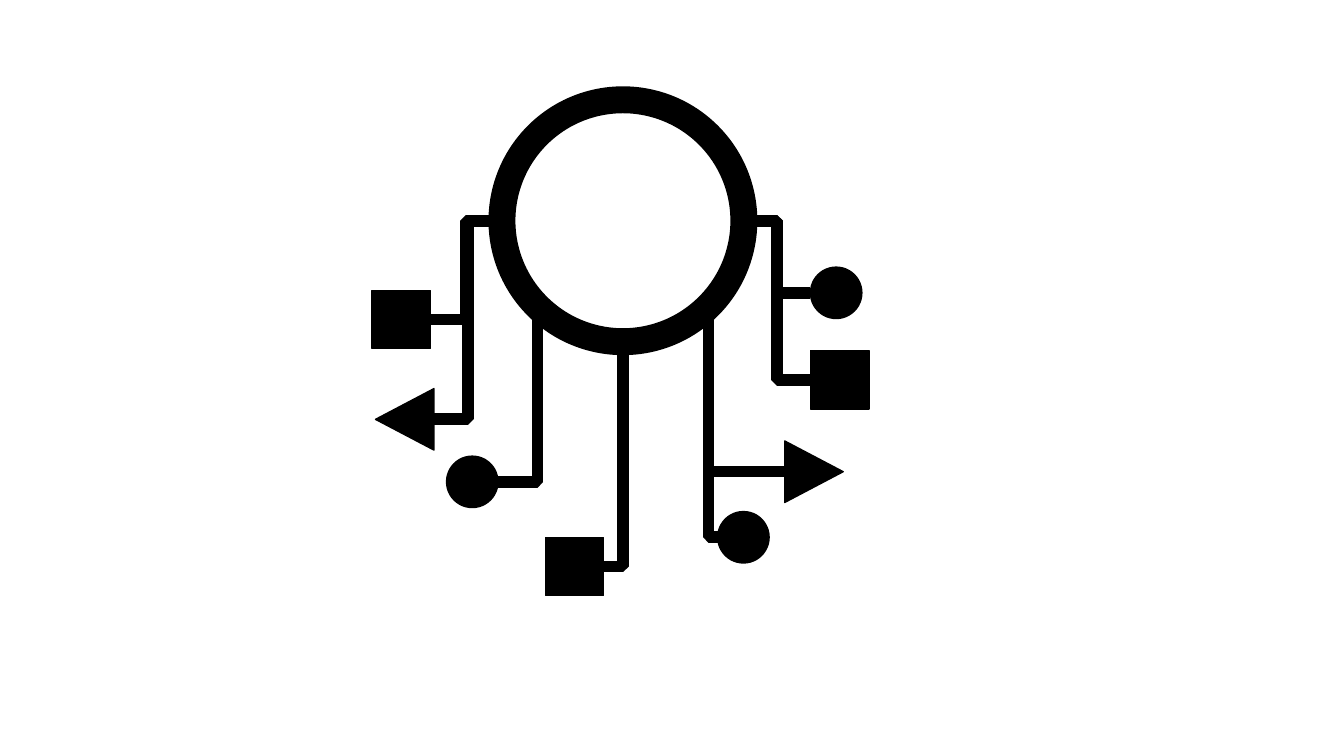
"""Builds a slide with a ring whose branches end in circles, squares and arrowheads."""
from dataclasses import dataclass
from enum import Enum
from math import cos, radians, sin

from lxml.etree import SubElement
from pptx import Presentation
from pptx.dml.color import RGBColor
from pptx.enum.shapes import MSO_CONNECTOR as Connector, MSO_SHAPE as Preset
from pptx.oxml.ns import qn
from pptx.shapes.autoshape import Shape
from pptx.util import Inches, Length, Pt

CELL = 0.1
COLUMNS, ROWS = 133.33, 75
BLACK, WHITE = "000000", "FFFFFF"
RING_X, RING_Y, RING_RADIUS = 61.8, 21.9, 12
RING_LINE, BRANCH_LINE, NODE_LINE = 19.25, 8.25, 1


class Kind(Enum):
    CIRCLE = (Preset.OVAL, 5.1, 5.1)
    SQUARE = (Preset.RECTANGLE, 5.8, 5.8)
    ARROWHEAD = (Preset.ISOSCELES_TRIANGLE, 6.1, 5.8)


class Port(Enum):
    RIGHT = 0
    LOWER_RIGHT = 45
    BOTTOM = 90
    LOWER_LEFT = 135
    LEFT = 180


class Side(Enum):
    LEFT = -1
    RIGHT = 1


@dataclass(frozen=True)
class Branch:
    port: Port
    kind: Kind
    side: Side
    inner_edge: float
    middle: float


BRANCHES = [
    Branch(Port.LOWER_RIGHT, Kind.CIRCLE, Side.RIGHT, 71.2, 53.3),
    Branch(Port.LOWER_RIGHT, Kind.ARROWHEAD, Side.RIGHT, 77.85, 46.8),
    Branch(Port.RIGHT, Kind.SQUARE, Side.RIGHT, 80.4, 37.7),
    Branch(Port.RIGHT, Kind.CIRCLE, Side.RIGHT, 80.4, 29.05),
    Branch(Port.LOWER_LEFT, Kind.CIRCLE, Side.LEFT, 49.4, 47.8),
    Branch(Port.LEFT, Kind.ARROWHEAD, Side.LEFT, 43.05, 41.6),
    Branch(Port.LEFT, Kind.SQUARE, Side.LEFT, 42.7, 31.7),
    Branch(Port.BOTTOM, Kind.SQUARE, Side.LEFT, 59.9, 56.2),
]


def cells(count: float) -> Length:
    return Inches(count * CELL)


def color(value: str) -> RGBColor:
    return RGBColor.from_string(value)


def add_centered(slide, preset: Preset, x: float, y: float, width: float,
                 height: float, fill: str, line: float) -> Shape:
    shape = slide.shapes.add_shape(preset, cells(x - width / 2), cells(y - height / 2),
                                   cells(width), cells(height))
    shape.shadow.inherit = False
    shape.fill.solid()
    shape.fill.fore_color.rgb = color(fill)
    shape.line.color.rgb = color(BLACK)
    shape.line.width = Pt(line)
    return shape


def add_elbow(slide, branch: Branch) -> None:
    angle = radians(branch.port.value)
    port_x = RING_X + RING_RADIUS * cos(angle)
    port_y = RING_Y + RING_RADIUS * sin(angle)
    connector = slide.shapes.add_connector(
        Connector.ELBOW, cells(branch.inner_edge), cells(branch.middle),
        cells(port_x), cells(port_y))
    connector.line.color.rgb = color(BLACK)
    connector.line.width = Pt(BRANCH_LINE)
    properties = connector._element.spPr
    SubElement(properties.find(qn("a:ln")), qn("a:bevel"))
    SubElement(properties, qn("a:effectLst"))
    if branch.port not in (Port.LEFT, Port.RIGHT):
        properties.find(qn("a:prstGeom")).set("prst", "bentConnector2")


def add_node(slide, branch: Branch) -> None:
    preset, width, height = branch.kind.value
    x = branch.inner_edge + branch.side.value * height / 2
    node = add_centered(slide, preset, x, branch.middle, width, height, BLACK, NODE_LINE)
    if branch.kind is Kind.ARROWHEAD:
        node.rotation = 90 * branch.side.value % 360


def main() -> None:
    presentation = Presentation()
    presentation.slide_width = cells(COLUMNS)
    presentation.slide_height = cells(ROWS)
    slide = presentation.slides.add_slide(presentation.slide_layouts[6])
    for branch in BRANCHES:
        add_elbow(slide, branch)
    add_centered(slide, Preset.OVAL, RING_X, RING_Y, 2 * RING_RADIUS,
                 2 * RING_RADIUS, WHITE, RING_LINE)
    for branch in BRANCHES:
        add_node(slide, branch)
    presentation.save("out.pptx")


main()
